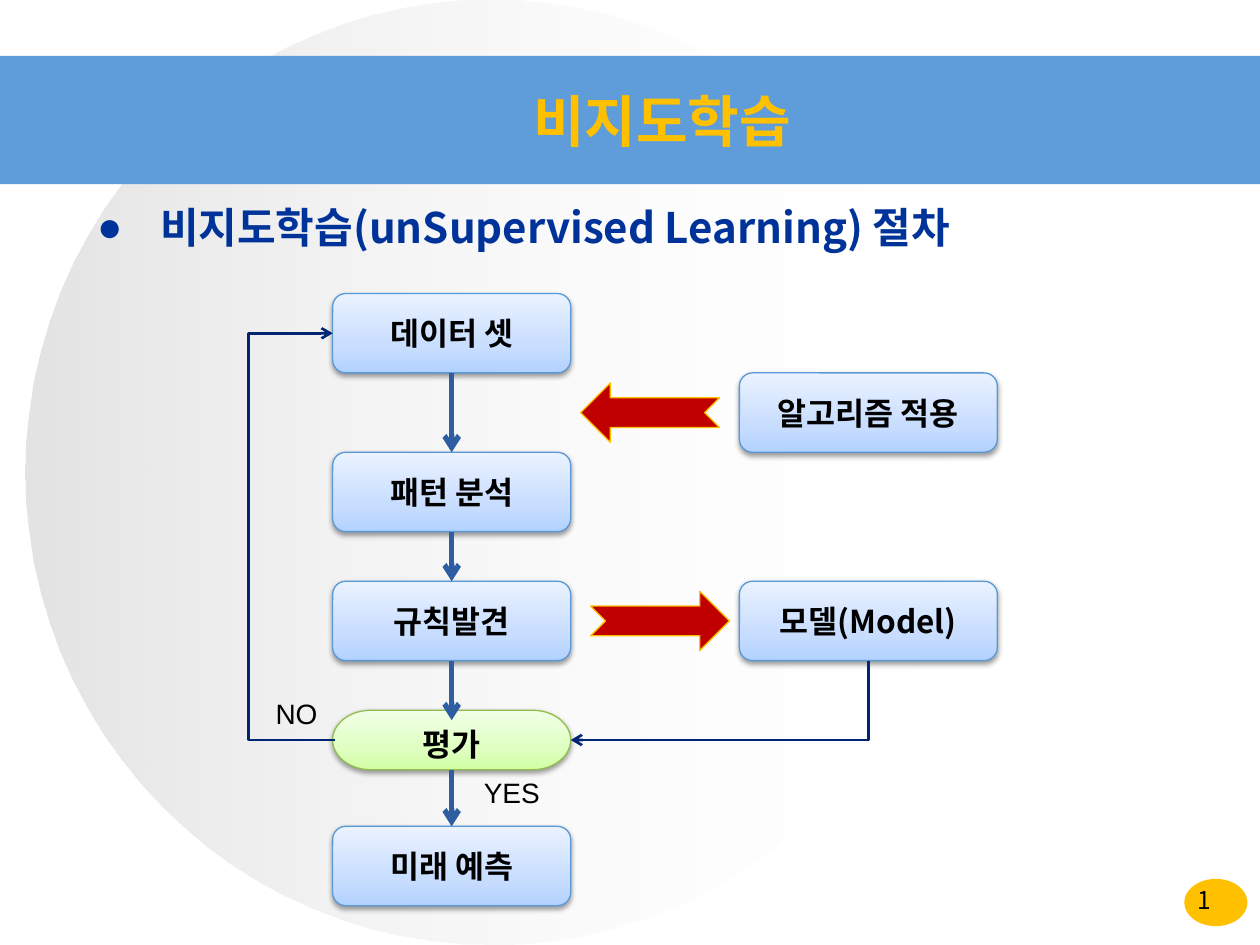
from itertools import pairwise

from lxml import etree
from pptx import Presentation
from pptx.dml.color import RGBColor
from pptx.enum.shapes import MSO_CONNECTOR as LINK, MSO_SHAPE as SHAPE
from pptx.enum.text import MSO_ANCHOR as ANCHOR, PP_ALIGN as ALIGN
from pptx.oxml import parse_xml
from pptx.oxml.ns import nsdecls, qn
from pptx.util import Cm, Inches, Pt

COLORS = {
    "band": "5E9CDA", "gold": "FFC000", "navy": "003399", "ink": "000000",
    "red": "C00000", "blue_edge": "5999D8", "green_edge": "90BE4E",
    "flow": "2E5DA2", "elbow": "002673",
}
BLUE = [(0, "B3D2FF", 100), (35, "C9DEFF", 100), (100, "EAF2FF", 100)]
GREEN = [(0, "D2FFA6", 100), (35, "DEFFC0", 100), (100, "F2FFE7", 100)]
HAZE = [(0, "C0C0C0", 44), (100, "FFFFFF", 0)]
KOREAN, LATIN = "Noto Sans CJK KR", "Arial"
CELL, LEFT, TOP = Cm(0.4), Inches(2.64), Inches(2.33)
TOP_SIDE, LEFT_SIDE, BOTTOM_SIDE, RIGHT_SIDE = range(4)


def rgb(name):
    return RGBColor.from_string(COLORS[name])


class SlideBuilder:
    def __init__(self, deck):
        self.deck = deck
        self.page = deck.slides.add_slide(deck.slide_layouts[1])

    def share(self, x, y, width, height):
        wide, high = self.deck.slide_width, self.deck.slide_height
        return [round(part * full) for part, full in zip((x, y, width, height), (wide, high) * 2)]

    def cells(self, column, row, columns, rows):
        return [round(LEFT + column * CELL), round(TOP + row * CELL),
                round(columns * CELL), round(rows * CELL)]

    def add_text(self, frame, text, size, color="ink", font=KOREAN, bold=False,
                 align=ALIGN.CENTER, hanging=0):
        para = frame.paragraphs[0]
        para.alignment = align
        if hanging:
            props = para._p.get_or_add_pPr()
            props.set("marL", str(Inches(hanging)))
            props.set("indent", str(-Inches(hanging)))
        run = para.add_run()
        run.text = text
        run.font.size, run.font.bold, run.font.name = Pt(size), bold, font
        run.font.color.rgb = rgb(color)
        for tag in ("a:ea", "a:cs"):
            etree.SubElement(run._r.get_or_add_rPr(), qn(tag)).set("typeface", font)
        return para

    def placeholder(self, index, area, *text, **style):
        holder = self.page.placeholders[index]
        holder.left, holder.top, holder.width, holder.height = area
        self.page.shapes._spTree.append(holder._element)
        return holder, self.add_text(holder.text_frame, *text, **style)

    def gradient(self, shape, stops, angle):
        stop_xml = "".join(
            f'<a:gs pos="{place * 1000}"><a:srgbClr val="{color}">'
            f'<a:alpha val="{opacity * 1000}"/></a:srgbClr></a:gs>'
            for place, color, opacity in stops)
        shape._element.spPr.find(qn("a:prstGeom")).addnext(parse_xml(
            f'<a:gradFill {nsdecls("a")} rotWithShape="1"><a:gsLst>{stop_xml}</a:gsLst>'
            f'<a:lin ang="{angle * 60000}" scaled="0"/></a:gradFill>'))

    def shape(self, kind, area, fill, edge=None, angle=0):
        shape = self.page.shapes.add_shape(kind, *area)
        shape.shadow.inherit = False
        if isinstance(fill, list):
            self.gradient(shape, fill, angle)
        else:
            shape.fill.solid()
            shape.fill.fore_color.rgb = rgb(fill)
        if edge:
            shape.line.color.rgb, shape.line.width = rgb(edge), Pt(0.75)
        else:
            shape.line.fill.background()
        return shape

    def step(self, text, area, kind=SHAPE.ROUNDED_RECTANGLE, fill=BLUE,
             edge="blue_edge", anchor=ANCHOR.MIDDLE):
        box = self.shape(kind, area, fill, edge, 270)
        box._element.spPr.find(qn("a:effectLst")).append(parse_xml(
            f'<a:outerShdw {nsdecls("a")} blurRad="{Pt(3.1)}" dist="{Pt(1.6)}" '
            'dir="5400000" rotWithShape="0"><a:srgbClr val="000000">'
            '<a:alpha val="38000"/></a:srgbClr></a:outerShdw>'))
        box.text_frame.vertical_anchor = anchor
        self.add_text(box.text_frame, text, 18, bold=True)
        return box

    def label(self, text, area, size, **style):
        box = self.page.shapes.add_textbox(*area)
        box.text_frame.word_wrap = True
        self.add_text(box.text_frame, text, size, **style)

    def link(self, kind, start, start_side, end, end_side, color, width):
        link = self.page.shapes.add_connector(kind, 0, 0, 0, 0)
        link.begin_connect(start, start_side)
        if end is not None:
            link.end_connect(end, end_side)
        link.line.color.rgb, link.line.width = rgb(color), Pt(width)
        link.line._get_or_add_ln().append(
            parse_xml(f'<a:tailEnd {nsdecls("a")} type="arrow"/>'))
        etree.SubElement(link._element.spPr, qn("a:effectLst"))
        return link

    def down(self, start, end):
        return self.link(LINK.STRAIGHT, start, BOTTOM_SIDE, end, TOP_SIDE, "flow", 3)

    def elbow(self, start, start_side, end, end_side, area, turn, preset, bend=None):
        link = self.link(LINK.ELBOW, start, start_side, end, end_side, "elbow", 1.5)
        frame = link._element.spPr.xfrm
        for flip in ("flipH", "flipV"):
            frame.attrib.pop(flip, None)
        link.left, link.top, link.width, link.height = area
        frame.set("rot", str(turn * 60000))
        outline = link._element.spPr.find(qn("a:prstGeom"))
        outline.set("prst", preset)
        if bend is not None:
            guides = outline.find(qn("a:avLst"))
            if guides is None:
                guides = etree.SubElement(outline, qn("a:avLst"))
            guide = etree.SubElement(guides, qn("a:gd"))
            guide.set("name", "adj1")
            guide.set("fmla", f"val {round(bend * 100000)}")


def main():
    deck = Presentation()
    deck.slide_width, deck.slide_height = Inches(10), Inches(7.5)
    slide = SlideBuilder(deck)
    share, cells = slide.share, slide.cells

    slide.shape(SHAPE.OVAL, share(0.94, 0.93, 0.05, 0.05), "gold")
    slide.shape(SHAPE.OVAL, share(0.02, 0, 0.74, 1), HAZE)
    slide.shape(SHAPE.RECTANGLE, share(0, 0.059, 1, 0.136), "band")
    title, _ = slide.placeholder(0, share(0.051, 0.077, 0.949, 0.1), "비지도학습", 32, "gold",
                                 bold=True, hanging=0.94)
    title.text_frame.vertical_anchor = ANCHOR.MIDDLE
    slide.label("1", share(0.912, 0.93, 0.088, 0.039), 14)
    _, topic = slide.placeholder(1, share(0.067, 0.207, 0.875, 0.629),
                                 "비지도학습(unSupervised Learning) 절차", 24, "navy",
                                 bold=True, align=ALIGN.LEFT, hanging=0.5)
    bullet = etree.SubElement(topic._p.get_or_add_pPr(), qn("a:buChar"))
    bullet.set("char", "●")

    data, pattern, rule, future = [
        slide.step(text, cells(0, row, 12, 4))
        for text, row in (("데이터 셋", 0), ("패턴 분석", 8), ("규칙발견", 14.5), ("미래 예측", 26.85))]
    _, model = [slide.step(text, cells(20.5, row, 13, 4))
                for text, row in (("알고리즘 적용", 4), ("모델(Model)", 14.5))]
    check = slide.step("평가", cells(0, 21, 12, 3), SHAPE.FLOWCHART_TERMINATOR,
                       GREEN, "green_edge", ANCHOR.TOP)

    for column, row, flipped in ((12.5, 4.5, True), (13, 15, False)):
        arrow = slide.shape(SHAPE.NOTCHED_RIGHT_ARROW, cells(column, row, 7, 3), "red", "gold")
        if flipped:
            arrow._element.spPr.xfrm.set("flipH", "1")

    for start, end in (*pairwise((data, pattern, rule)), (check, future)):
        slide.down(start, end)
    into_check = slide.down(rule, None)
    into_check.end_x, into_check.end_y = check.left + check.width // 2, check.top + CELL // 2

    slide.elbow(check, LEFT_SIDE, data, LEFT_SIDE, cells(0, 2, 0.1, 20.5), 180, "bentConnector3", 43.5)
    slide.elbow(model, BOTTOM_SIDE, check, RIGHT_SIDE, cells(17.5, 13, 4, 15), 90, "bentConnector2")

    for text, column, row, columns in (("NO", -3.5, 20, 3.5), ("YES", 7, 24, 5.5)):
        slide.label(text, cells(column, row, columns, 2.35), 16, font=LATIN, align=ALIGN.LEFT)

    deck.save("out.pptx")


if __name__ == "__main__":
    main()
